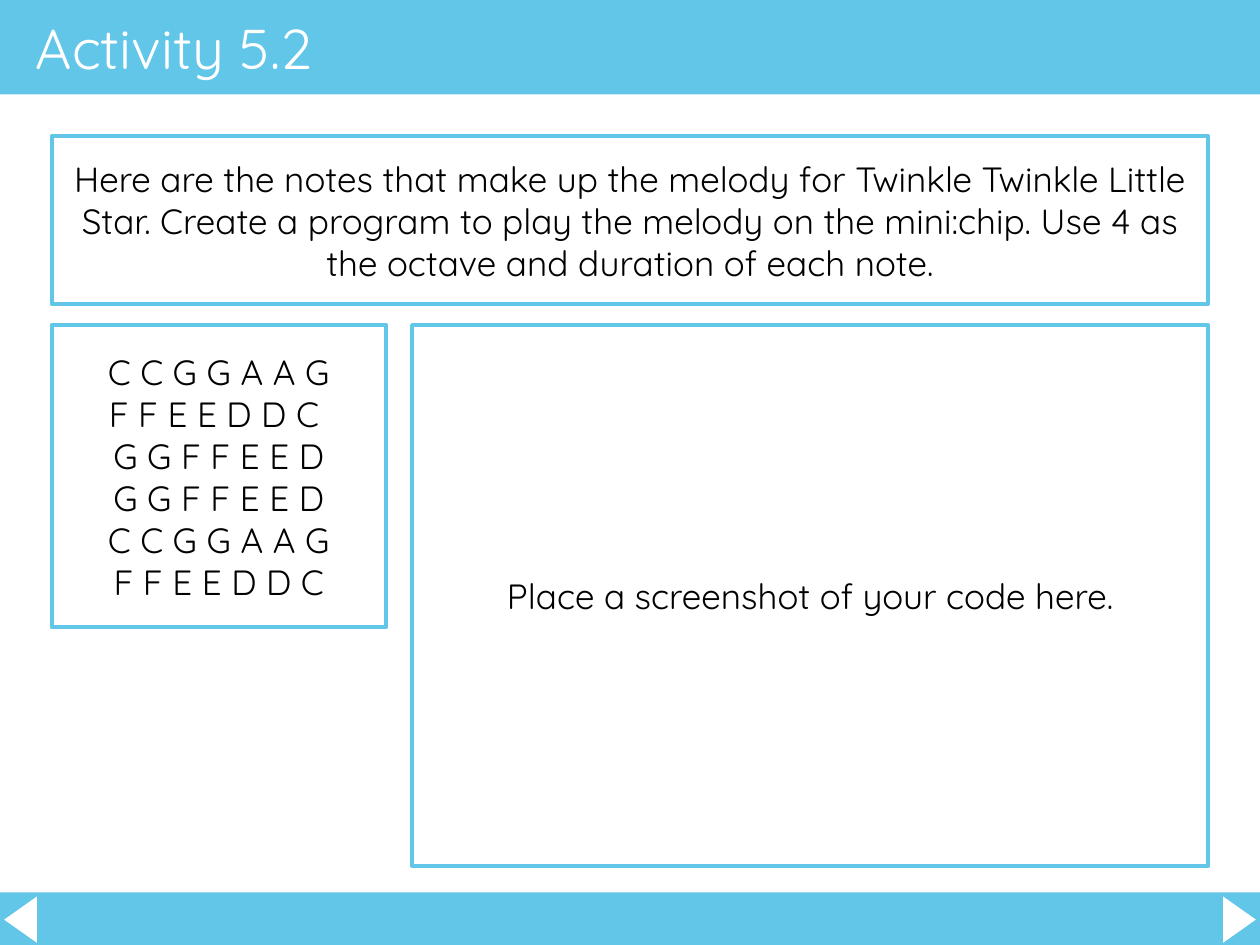
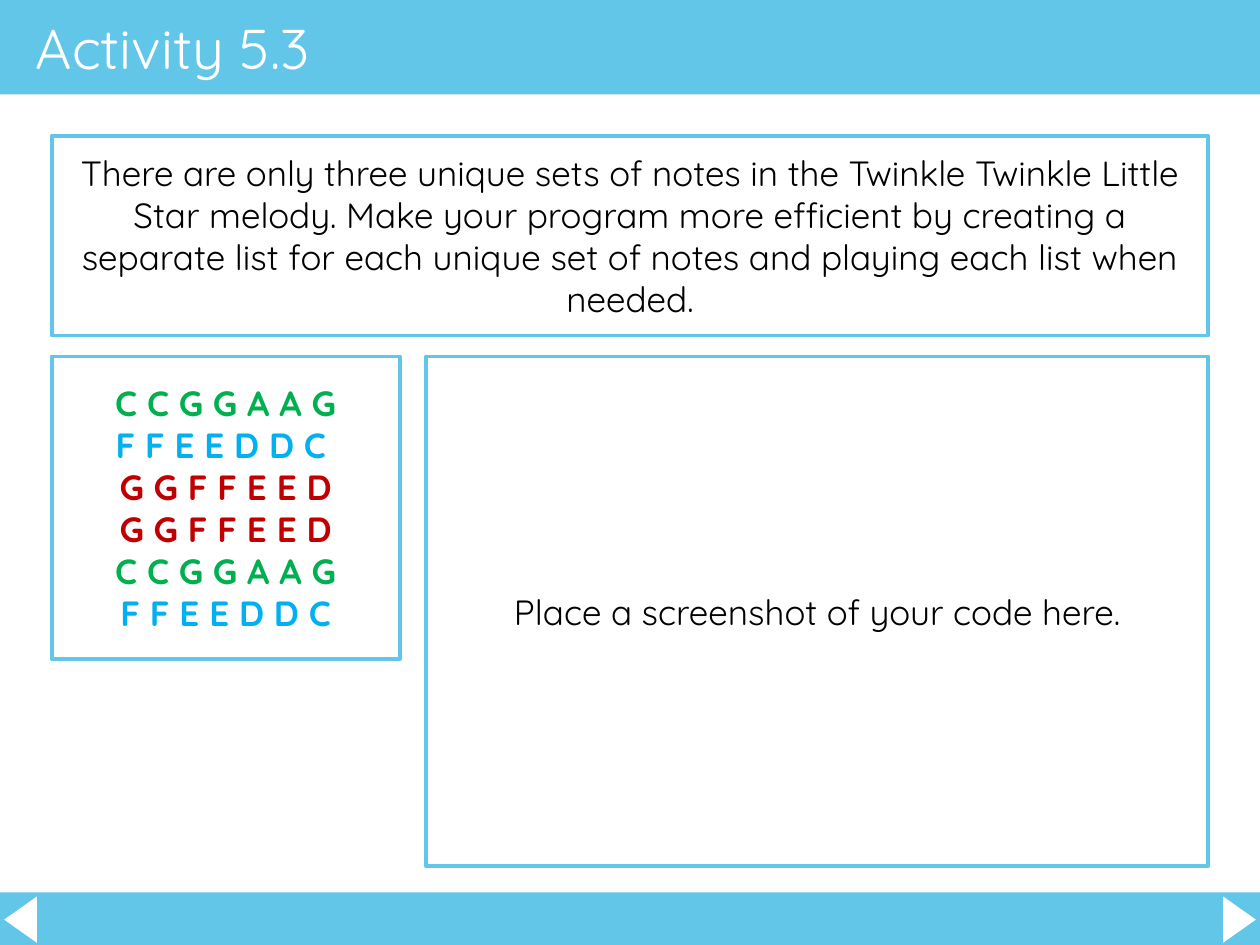
from pptx import Presentation
from pptx.dml.color import RGBColor
from pptx.enum.shapes import MSO_SHAPE as Shape
from pptx.enum.text import MSO_ANCHOR as Anchor, PP_ALIGN as Align
from pptx.util import Pt

SKY = RGBColor(0x62, 0xC6, 0xE8)
WHITE = RGBColor(0xFF, 0xFF, 0xFF)
BLACK = RGBColor(0x00, 0x00, 0x00)
GREEN = RGBColor(0x00, 0xB0, 0x50)
BLUE = RGBColor(0x00, 0xB0, 0xF0)
RED = RGBColor(0xC0, 0x00, 0x00)
FONT = "Quicksand"

PAGE_WIDTH, PAGE_HEIGHT = 720, 540
TITLE_HEIGHT, FOOTER_HEIGHT = 54, 30
ARROW_WIDTH, ARROW_HEIGHT, ARROW_OVERHANG = 26.5, 18.75, 1.5
MARGIN = 29.5
CONTENT_WIDTH = PAGE_WIDTH - 2 * MARGIN
TASK_TOP, CONTENT_BOTTOM = 77.75, 494.75
ROW_GAP, COLUMN_GAP = 12, 15
NOTES_HEIGHT = 172.75

MELODY = [
    "C C G G A A G",
    "F F E E D D C ",
    "G G F F E E D",
    "G G F F E E D",
    "C C G G A A G",
    "F F E E D D C",
]
CODE_PROMPT = "Place a screenshot of your code here."

# title, task, task height, notes width, colours of the melody lines, bold notes
ACTIVITIES = [
    ("Activity 5.2",
     "Here are the notes that make up the melody for Twinkle Twinkle Little Star. "
     "Create a program to play the melody on the mini:chip. "
     "Use 4 as the octave and duration of each note.",
     96, 191, [BLACK] * 6, False),
    ("Activity 5.3",
     "There are only three unique sets of notes in the Twinkle Twinkle Little Star melody. "
     "Make your program more efficient by creating a separate list for each unique set "
     "of notes and playing each list when needed.",
     114, 199, [GREEN, BLUE, RED, RED, GREEN, BLUE], True),
]


def add_solid(page, kind, left, top, width, height, color):
    """Add a filled shape without an outline."""
    solid = page.shapes.add_shape(kind, Pt(left), Pt(top), Pt(width), Pt(height))
    solid.shadow.inherit = False
    solid.fill.solid()
    solid.fill.fore_color.rgb = color
    solid.line.fill.background()
    return solid


def add_framed_text(page, left, top, width, height, lines, colors, bold=False):
    """Add an outlined box with one centred paragraph per line."""
    box = page.shapes.add_shape(Shape.RECTANGLE, Pt(left), Pt(top), Pt(width), Pt(height))
    box.shadow.inherit = False
    box.fill.background()
    box.line.color.rgb = SKY
    box.line.width = Pt(2.25)
    frame = box.text_frame
    frame.word_wrap = True
    frame.vertical_anchor = Anchor.MIDDLE
    frame.text = "\n".join(lines)
    for paragraph, color in zip(frame.paragraphs, colors):
        paragraph.alignment = Align.CENTER
        font = paragraph.runs[0].font
        font.name, font.size, font.bold = FONT, Pt(20), bold
        font.color.rgb = color


deck = Presentation()
deck.slide_width, deck.slide_height = Pt(PAGE_WIDTH), Pt(PAGE_HEIGHT)

for title, task, task_height, notes_width, note_colors, bold_notes in ACTIVITIES:
    page = deck.slides.add_slide(deck.slide_layouts[6])

    # Bands and navigation arrows
    footer_top = PAGE_HEIGHT - FOOTER_HEIGHT
    add_solid(page, Shape.RECTANGLE, 0, 0, PAGE_WIDTH, TITLE_HEIGHT, SKY)
    add_solid(page, Shape.RECTANGLE, 0, footer_top, PAGE_WIDTH, FOOTER_HEIGHT, SKY)
    arrow_top = footer_top + (FOOTER_HEIGHT - ARROW_HEIGHT) / 2 + 0.5
    next_left = PAGE_WIDTH + ARROW_OVERHANG - ARROW_WIDTH
    for arrow_left, rotation in ((next_left, 90), (-ARROW_OVERHANG, 270)):
        arrow = add_solid(page, Shape.ISOSCELES_TRIANGLE, arrow_left, arrow_top,
                          ARROW_WIDTH, ARROW_HEIGHT, WHITE)
        arrow.rotation = rotation

    # Title
    title_box = page.shapes.add_textbox(Pt(13.5), Pt(0), Pt(648), Pt(TITLE_HEIGHT))
    frame = title_box.text_frame
    frame.word_wrap = True
    frame.vertical_anchor = Anchor.MIDDLE
    frame.margin_top = frame.margin_bottom = Pt(7.2)
    frame.text = title
    font = frame.paragraphs[0].runs[0].font
    font.name, font.size = FONT, Pt(32)
    font.color.rgb = WHITE

    # Task across the top, notes and code side by side below
    row_top = TASK_TOP + task_height + ROW_GAP
    code_left = MARGIN + notes_width + COLUMN_GAP
    add_framed_text(page, MARGIN, TASK_TOP, CONTENT_WIDTH, task_height, [task], [BLACK])
    add_framed_text(page, code_left, row_top, PAGE_WIDTH - MARGIN - code_left,
                    CONTENT_BOTTOM - row_top, [CODE_PROMPT], [BLACK])
    add_framed_text(page, MARGIN, row_top, notes_width, NOTES_HEIGHT,
                    MELODY, note_colors, bold_notes)

deck.save("out.pptx")
